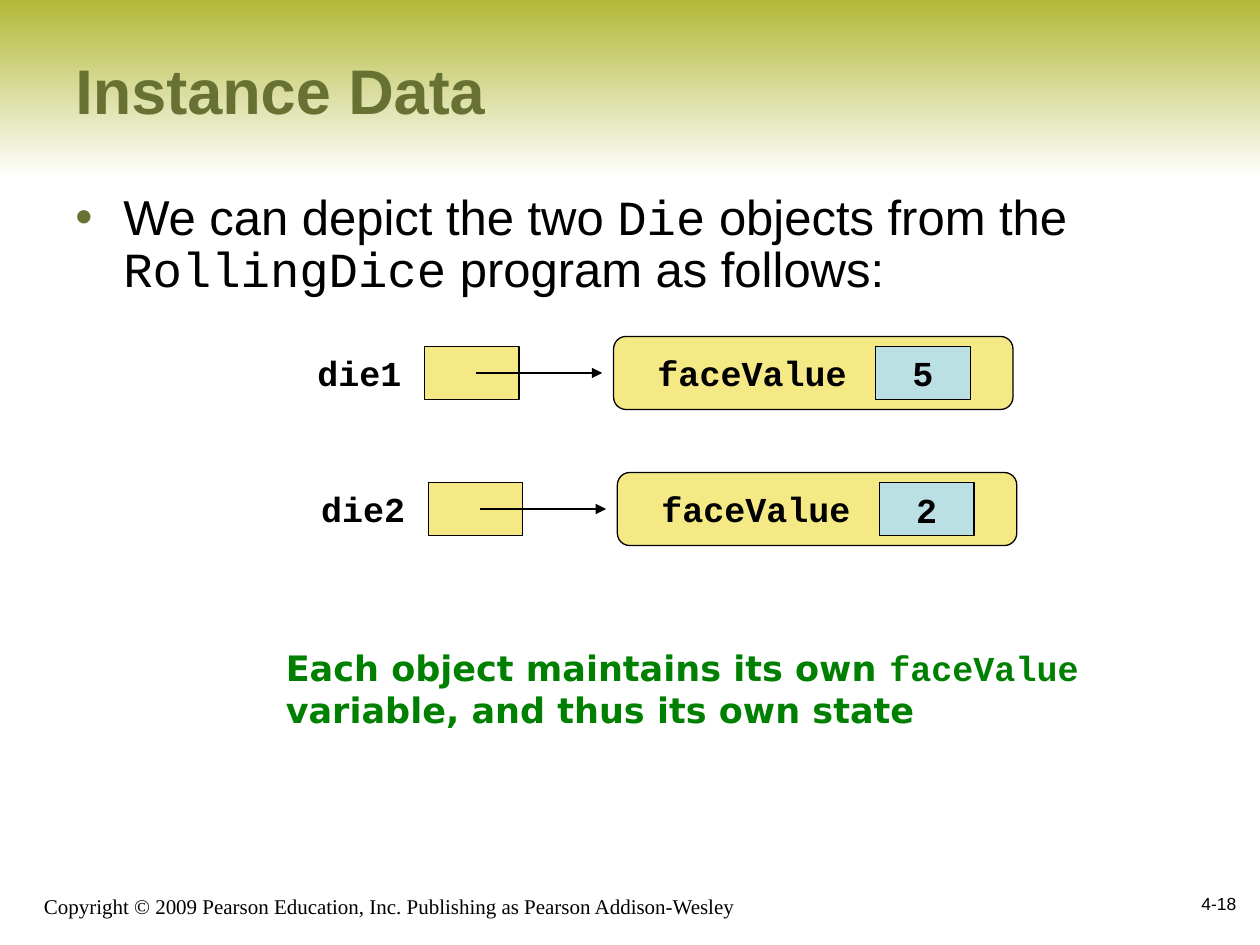
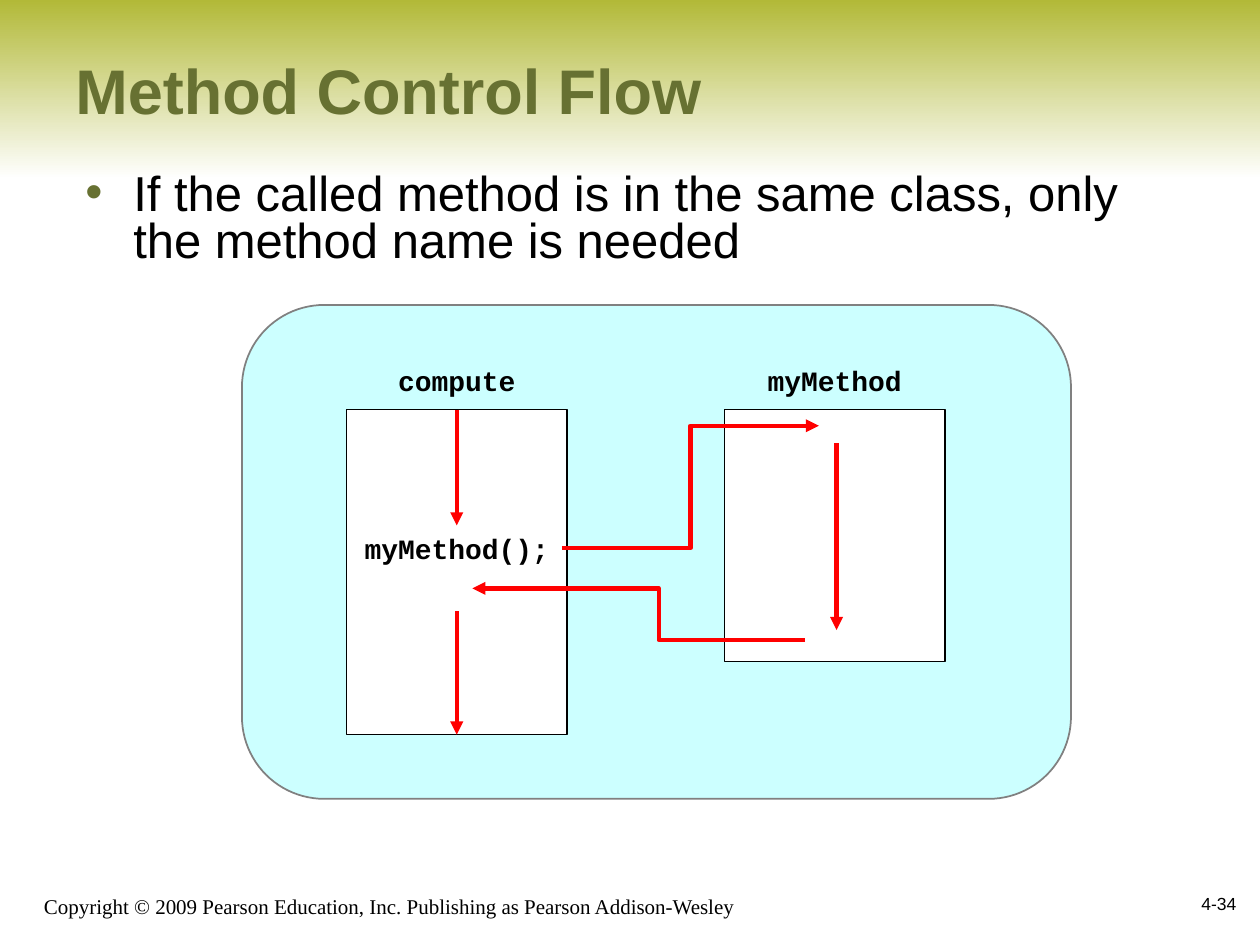
from lxml.etree import SubElement
from pptx import Presentation
from pptx.dml.color import RGBColor
from pptx.enum.shapes import MSO_CONNECTOR as Link, MSO_SHAPE as Shape
from pptx.enum.text import MSO_ANCHOR as Anchor, PP_ALIGN as Align
from pptx.oxml.ns import qn
from pptx.util import Inches, Pt

OLIVE = "677132"
BAND = "B2B938"
BLACK = "000000"
WHITE = "FFFFFF"
YELLOW = "F5E985"
BLUE = "BBE0E3"
CYAN = "CCFFFF"
GRAY = "808080"
GREEN = "008000"
RED = "FF0000"
SANS = "Arial"
CODE = "Courier New"
COPYRIGHT = "Copyright © 2009 Pearson Education, Inc. Publishing as Pearson Addison-Wesley"


def rgb(value):
    return RGBColor.from_string(value)


def add_bullet(paragraph):
    props = paragraph._p.get_or_add_pPr()
    props.set("marL", str(Inches(0.38)))
    props.set("indent", str(Inches(-0.38)))
    color = SubElement(props, qn("a:buClr"))
    SubElement(color, qn("a:srgbClr"), val=OLIVE)
    SubElement(props, qn("a:buFont"), typeface=SANS)
    SubElement(props, qn("a:buChar"), char="•")


def write(frame, text, size=20, font=SANS, color=BLACK, bold=False, align=Align.LEFT,
          anchor=Anchor.TOP, wrap=True, bullet=False, spacing=None):
    """Words between backticks are set in the code font."""
    frame.word_wrap = wrap
    frame.vertical_anchor = anchor
    paragraph = frame.paragraphs[0]
    if bullet:
        add_bullet(paragraph)
    paragraph.alignment = align
    if spacing:
        paragraph.line_spacing = spacing
    for index, piece in enumerate(text.split("`")):
        run = paragraph.add_run()
        run.text = piece
        run.font.name = CODE if index % 2 else font
        run.font.size = Pt(size)
        run.font.bold = bold
        run.font.color.rgb = rgb(color)


def add_label(slide, text, left, top, width, height, **style):
    box = slide.shapes.add_textbox(Inches(left), Inches(top), Inches(width), Inches(height))
    write(box.text_frame, text, **style)


def add_box(slide, left, top, width, height, fill, line=BLACK, weight=0.75, kind=Shape.RECTANGLE):
    box = slide.shapes.add_shape(kind, Inches(left), Inches(top), Inches(width), Inches(height))
    box.shadow.inherit = False
    box.fill.solid()
    box.fill.fore_color.rgb = rgb(fill)
    box.line.color.rgb = rgb(line)
    box.line.width = Pt(weight)
    return box


def add_arrow(slide, x1, y1, x2, y2, color=RED, weight=2.5, kind=Link.STRAIGHT, bend=None):
    arrow = slide.shapes.add_connector(kind, Inches(x1), Inches(y1), Inches(x2), Inches(y2))
    arrow.line.color.rgb = rgb(color)
    arrow.line.width = Pt(weight)
    props = arrow._element.spPr
    SubElement(props.find(qn("a:ln")), qn("a:tailEnd"), type="triangle")
    SubElement(props, qn("a:effectLst"))
    if bend:
        guides = props.find(qn("a:prstGeom")).find(qn("a:avLst"))
        SubElement(guides, qn("a:gd"), name="adj1", fmla=f"val {round(bend * 100000)}")


def add_base_slide(deck, title, number):
    slide = deck.slides.add_slide(deck.slide_layouts[6])
    band = add_box(slide, 0, 0, 10, 1.42, BAND)
    band.line.fill.background()
    band.fill.gradient()
    band.fill.gradient_angle = 270
    for stop, color, position in zip(band.fill.gradient_stops, (BAND, WHITE), (0, 1)):
        stop.color.rgb = rgb(color)
        stop.position = position
    add_label(slide, title, 0.5, 0.08, 9.08, 1.25, size=36, color=OLIVE, bold=True,
              anchor=Anchor.MIDDLE)
    add_label(slide, COPYRIGHT, 0.25, 6.92, 6.08, 0.42, size=12, font="Times New Roman",
              anchor=Anchor.BOTTOM)
    add_label(slide, number, 7.83, 6.92, 2.08, 0.5, size=10, align=Align.RIGHT,
              anchor=Anchor.MIDDLE)
    return slide


def draw_die(slide, left, top, variable, value):
    code = dict(font=CODE, bold=True, wrap=False)
    add_box(slide, left + 0.95, top + 0.08, 0.75, 0.42, YELLOW)
    add_label(slide, variable, left, top + 0.07, 0.87, 0.44, **code)
    die = add_box(slide, left + 2.45, top, 3.17, 0.58, YELLOW, kind=Shape.ROUNDED_RECTANGLE)
    die.adjustments[0] = 0.17
    add_arrow(slide, left + 1.36, top + 0.29, left + 2.36, top + 0.29, BLACK, 0.75)
    face = add_box(slide, left + 4.53, top + 0.08, 0.75, 0.42, BLUE)
    write(face.text_frame, value, align=Align.CENTER, anchor=Anchor.MIDDLE, **code)
    add_label(slide, "faceValue", left + 2.7, top + 0.07, 1.7, 0.44, **code)


def draw_method(slide, left, top, width, height, name):
    add_box(slide, left, top, width, height, WHITE, weight=1)
    add_code(slide, name, left, top - 0.42, width)


def add_code(slide, text, left, top, width):
    add_label(slide, text, left, top, width, 0.37, size=16, font=CODE, bold=True,
              align=Align.CENTER, anchor=Anchor.MIDDLE, wrap=False)


def draw_control_flow(slide, left, top, width, height):
    add_box(slide, left, top, width, height, CYAN, GRAY, 1, Shape.FLOWCHART_ALTERNATE_PROCESS)
    caller, called, method_top, method_width = left + 0.83, left + 3.83, top + 0.83, 1.75
    draw_method(slide, caller, method_top, method_width, 2.58, "compute")
    draw_method(slide, called, method_top, method_width, 2, "myMethod")
    add_code(slide, "myMethod();", caller, method_top + 0.92, method_width)

    caller_middle = caller + method_width / 2
    for start, end in ((0, 0.92), (1.6, 2.58)):
        add_arrow(slide, caller_middle, method_top + start, caller_middle, method_top + end)
    add_arrow(slide, called + 0.89, method_top + 0.27, called + 0.89, method_top + 1.75)
    add_arrow(slide, caller + 1.71, method_top + 1.1, called + 0.75, method_top + 0.13,
              kind=Link.ELBOW)
    add_arrow(slide, called + 0.64, method_top + 1.83, caller + 1, method_top + 1.42,
              kind=Link.ELBOW, bend=0.44)


def build_instance_data(deck):
    slide = add_base_slide(deck, "Instance Data", "4-18")
    add_label(slide, "We can depict the two `Die` objects from the `RollingDice` program as follows:",
              0.5, 1.48, 9.08, 1.11, size=28, bullet=True, spacing=0.9)
    for index, value in enumerate("52"):
        draw_die(slide, 2.42 + 0.03 * index, 2.67 + 1.08 * index, f"die{index + 1}", value)
    add_label(slide, "Each object maintains its own `faceValue` variable, and thus its own state",
              2.17, 5.08, 7.17, 0.77, font="DejaVu Sans", color=GREEN, bold=True)


def build_method_control_flow(deck):
    slide = add_base_slide(deck, "Method Control Flow", "4-34")
    add_label(slide, "If the called method is in the same class, only the method name is needed",
              0.58, 1.33, 8.75, 0.86, size=28, bullet=True, spacing=0.8)
    draw_control_flow(slide, 1.92, 2.42, 6.58, 3.92)


def main():
    deck = Presentation()
    deck.slide_width, deck.slide_height = Inches(10), Inches(7.5)
    build_instance_data(deck)
    build_method_control_flow(deck)
    deck.save("out.pptx")


if __name__ == "__main__":
    main()
